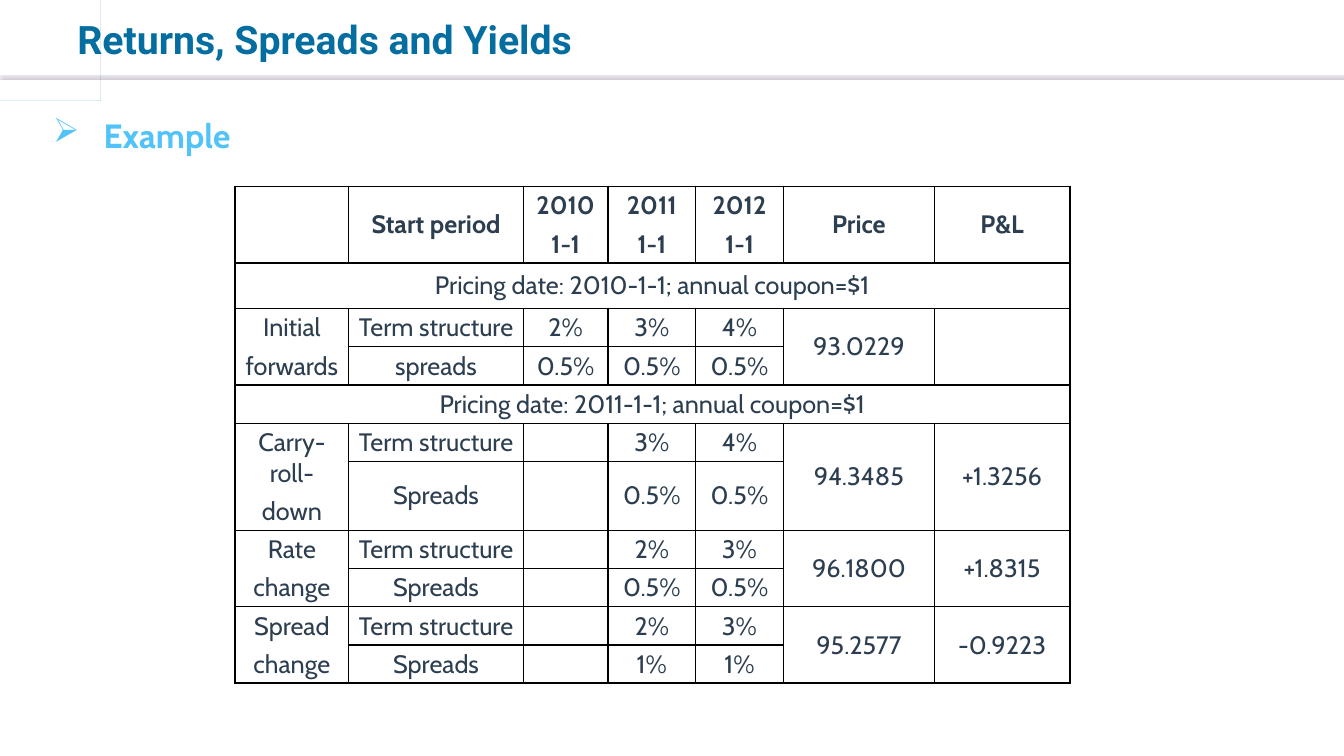
from dataclasses import dataclass

from lxml import etree
from pptx import Presentation
from pptx import util as u
from pptx.dml.color import RGBColor
from pptx.enum import shapes, text
from pptx.oxml import ns


@dataclass(frozen=True)
class Theme:
    title: str = "056EA0"
    accent: str = "51C3F9"
    ink: str = "2C3E50"
    border: str = "000000"
    rule: str = "FFFFFF"
    shadow: str = "BCB4C4"
    title_font: str = "Roboto"
    body_font: str = "Cabin"
    title_size: float = 28
    heading_size: float = 24
    cell_size: float = 18
    inner_line: float = 1
    outer_line: float = 1.5


@dataclass(frozen=True)
class Scenario:
    """Two table rows; the name, price and P&L each span both."""
    name: str
    rates: tuple[str, str, str]
    spreads: tuple[str, str, str]
    price: str
    profit: str = ""
    spread_label: str = "Spreads"


THEME = Theme()
HEADER = ("", "Start period", "2010\n1-1", "2011\n1-1", "2012\n1-1", "Price", "P&L")
BLOCKS = (
    "Pricing date: 2010-1-1; annual coupon=$1",
    Scenario("Initial\nforwards", ("2%", "3%", "4%"), ("0.5%", "0.5%", "0.5%"),
             "93.0229", spread_label="spreads"),
    "Pricing date: 2011-1-1; annual coupon=$1",
    Scenario("Carry-roll-\ndown", ("", "3%", "4%"), ("", "0.5%", "0.5%"), "94.3485", "+1.3256"),
    Scenario("Rate\nchange", ("", "2%", "3%"), ("", "0.5%", "0.5%"), "96.1800", "+1.8315"),
    Scenario("Spread\nchange", ("", "2%", "3%"), ("", "1%", "1%"), "95.2577", "-0.9223"),
)
COLUMN_WIDTHS = (1.13, 1.73, 0.84, 0.87, 0.87, 1.5, 1.34)
ROW_HEIGHTS = (0.76, 0.45, 0.38, 0.38, 0.38, 0.38, 0.68, 0.38, 0.38, 0.38, 0.38)

COVER = ((0.21, 0.16), (0.35, 0.22), (0.45, 0.2), (0.56, 0.2), (0.58, 0.22), (0.58, 0.56),
         (0.56, 0.58), (0.14, 0.58), (0.12, 0.56), (0.12, 0.22), (0.14, 0.2), (0.18, 0.2),
         (0.18, 0.18))
LEFT_GAP = ((0.16, 0.24), (0.16, 0.54), (0.25, 0.54), (0.19, 0.52), (0.18, 0.5), (0.18, 0.24))
LEFT_PAGE = ((0.22, 0.21), (0.22, 0.49), (0.33, 0.53), (0.33, 0.25))
MIDDLE_GAP = ((0.39, 0.25), (0.37, 0.25), (0.37, 0.53), (0.41, 0.52), (0.39, 0.48),
              (0.42, 0.45), (0.39, 0.41), (0.42, 0.37), (0.39, 0.33), (0.42, 0.29), (0.39, 0.26))
RIGHT_GAP = ((0.46, 0.24), (0.44, 0.26), (0.47, 0.3), (0.44, 0.33), (0.47, 0.37), (0.44, 0.41),
             (0.47, 0.45), (0.44, 0.48), (0.47, 0.52), (0.45, 0.54), (0.54, 0.54), (0.54, 0.24))
TEXT_MARK = ((0.25, 0.25), (0.27, 0.25), (0.31, 0.28), (0.31, 0.31), (0.29, 0.31),
             (0.24, 0.29), (0.24, 0.26))
MARK_STEP = 0.08


def write(frame, content: str, *, size: float, color: str, font: str = THEME.body_font,
          bold: bool = False, align=text.PP_ALIGN.LEFT, gap: float = 0,
          spacing: float = 1, bullet: str = "", indent: float = 0) -> None:
    """Write one paragraph per line, with gap points between paragraphs."""
    for index, line in enumerate(content.split("\n")):
        para = frame.add_paragraph() if index else frame.paragraphs[0]
        para.alignment = align
        para.line_spacing = spacing
        if index:
            para.space_before = u.Pt(gap)
        if bullet:
            properties = para._p.get_or_add_pPr()
            properties.set("marL", str(u.Inches(indent)))
            properties.set("indent", str(-u.Inches(indent)))
            etree.SubElement(properties, ns.qn("a:buChar"), char=bullet)
        span = para.add_run()
        span.text = line
        span.font.name = font
        span.font.size = u.Pt(size)
        span.font.bold = bold
        span.font.color.rgb = RGBColor.from_string(color)


def add_box(page, left: float, top: float, width: float, height: float, anchor):
    box = page.shapes.add_textbox(*map(u.Inches, (left, top, width, height)))
    box.text_frame.word_wrap = True
    box.text_frame.vertical_anchor = anchor
    return box.text_frame


def add_header_rule(page) -> None:
    rule = page.shapes.add_connector(shapes.MSO_CONNECTOR.STRAIGHT, 0, u.Inches(0.73),
                                     u.Inches(13.33), u.Inches(0.73))
    rule.line.color.rgb = RGBColor.from_string(THEME.rule)
    rule.line.width = u.Pt(0.75)
    effects = etree.SubElement(rule._element.spPr, ns.qn("a:effectLst"))
    shadow = etree.SubElement(effects, ns.qn("a:outerShdw"), blurRad=str(u.Pt(1)),
                              dist=str(u.Pt(3)), dir=str(90 * 60000), rotWithShape="0")
    etree.SubElement(shadow, ns.qn("a:srgbClr"), val=THEME.shadow)


def add_book_icon(page) -> None:
    marks = [[(x, y + step * MARK_STEP) for x, y in TEXT_MARK] for step in range(3)]
    builder = page.shapes.build_freeform(*COVER[0], scale=u.Inches(1))
    builder.add_line_segments(COVER[1:])
    for outline in (LEFT_GAP, LEFT_PAGE, MIDDLE_GAP, RIGHT_GAP, *marks):
        builder.move_to(*outline[0])
        builder.add_line_segments(outline[1:])
    book = builder.convert_to_shape()
    book.shadow.inherit = False
    book.fill.solid()
    book.fill.fore_color.rgb = RGBColor.from_string(THEME.title)
    book.line.fill.background()


def set_borders(cell, **widths: float) -> None:
    for side, width in widths.items():
        line = etree.SubElement(cell._tc.get_or_add_tcPr(), ns.qn(f"a:ln{side}"),
                                w=str(u.Pt(width)))
        fill = etree.SubElement(line, ns.qn("a:solidFill"))
        etree.SubElement(fill, ns.qn("a:srgbClr"), val=THEME.border)


def fill_cell(table, row: int, column: int, content: str, bold: bool = False) -> None:
    if content:
        write(table.cell(row, column).text_frame, content, size=THEME.cell_size,
              color=THEME.ink, bold=bold, align=text.PP_ALIGN.CENTER, gap=5.4)


def style_cells(table) -> None:
    last_row, last_column = len(ROW_HEIGHTS), len(COLUMN_WIDTHS)
    for row in range(last_row):
        for column in range(last_column):
            cell = table.cell(row, column)
            bottom = row + (cell.span_height if cell.is_merge_origin else 1)
            right = column + (cell.span_width if cell.is_merge_origin else 1)
            edges = {"L": column == 0, "R": right == last_column,
                     "T": row == 0, "B": bottom == last_row}
            set_borders(cell, **{side: THEME.outer_line if outer else THEME.inner_line
                                 for side, outer in edges.items()})
            cell.fill.background()
            cell.vertical_anchor = text.MSO_ANCHOR.MIDDLE
            cell.margin_left = cell.margin_right = u.Inches(0.04)
            cell.margin_top = cell.margin_bottom = u.Inches(0.04)


def add_pricing_table(page) -> None:
    table = page.shapes.add_table(
        len(ROW_HEIGHTS), len(COLUMN_WIDTHS), u.Inches(2.33), u.Inches(1.85),
        u.Inches(sum(COLUMN_WIDTHS)), u.Inches(sum(ROW_HEIGHTS))).table
    table.first_row = table.horz_banding = False
    for column, width in zip(table.columns, COLUMN_WIDTHS):
        column.width = u.Inches(width)
    for row, height in zip(table.rows, ROW_HEIGHTS):
        row.height = u.Inches(height)
    for column, label in enumerate(HEADER):
        fill_cell(table, 0, column, label, bold=True)
    top = 1
    for block in BLOCKS:
        if isinstance(block, str):
            table.cell(top, 0).merge(table.cell(top, len(COLUMN_WIDTHS) - 1))
            fill_cell(table, top, 0, block)
            top += 1
            continue
        for column, content in ((0, block.name), (5, block.price), (6, block.profit)):
            table.cell(top, column).merge(table.cell(top + 1, column))
            fill_cell(table, top, column, content)
        for row, values in enumerate((("Term structure", *block.rates),
                                      (block.spread_label, *block.spreads)), top):
            for column, content in enumerate(values, 1):
                fill_cell(table, row, column, content)
        top += 2
    style_cells(table)


def main() -> None:
    deck = Presentation()
    deck.slide_width, deck.slide_height = u.Inches(13.33), u.Inches(7.5)
    page = deck.slides.add_slide(deck.slide_layouts[6])
    add_header_rule(page)
    add_book_icon(page)
    write(add_box(page, 0.67, 0.07, 7.36, 0.63, text.MSO_ANCHOR.MIDDLE),
          "Returns, Spreads and Yields", size=THEME.title_size, color=THEME.title,
          font=THEME.title_font, bold=True)
    write(add_box(page, 0.43, 0.89, 12.47, 6.19, text.MSO_ANCHOR.TOP), "Example",
          size=THEME.heading_size, color=THEME.accent, bold=True, spacing=1.5,
          bullet="➢", indent=0.5)
    add_pricing_table(page)
    deck.save("out.pptx")


if __name__ == "__main__":
    main()
